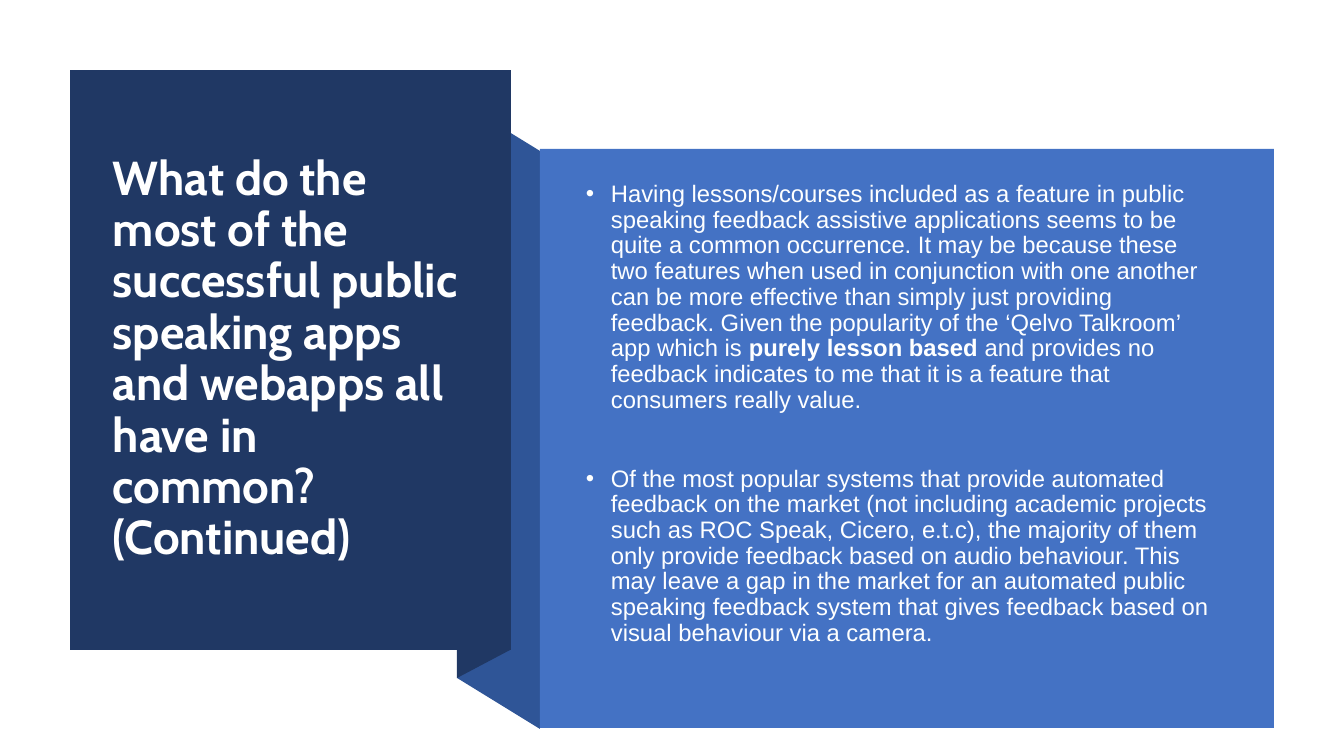
from lxml.etree import SubElement
from pptx import Presentation
from pptx.dml.color import RGBColor
from pptx.enum.shapes import MSO_SHAPE
from pptx.enum.text import MSO_ANCHOR
from pptx.oxml.ns import qn
from pptx.util import Emu, Pt

SCALE = 914400 / 100.8
NAVY, FOLD_BLUE, BLUE, WHITE, OFF_WHITE = "203864", "2F5597", "4472C4", "FFFFFF", "FEFFFF"

TITLE = ("What do the most of the successful public speaking apps and webapps "
         "all have in common? (Continued)")
POINTS = [
    [("Having lessons/courses included as a feature in public speaking feedback "
      "assistive applications seems to be quite a common occurrence. It may be because "
      "these two features when used in conjunction with one another can be more effective "
      "than simply just providing feedback. Given the popularity of the ‘Qelvo Talkroom’ "
      "app which is ", False),
     ("purely lesson based", True),
     (" and provides no feedback indicates to me that it is a feature that consumers "
      "really value.", False)],
    [("Of the most popular systems that provide automated feedback on the market (not "
      "including academic projects such as ROC Speak, Cicero, e.t.c), the majority of them "
      "only provide feedback based on audio behaviour. This may leave a gap in the market "
      "for an automated public speaking feedback system that gives feedback based on visual "
      "behaviour via a camera.", False)],
]


def px(length):
    return Emu(round(length * SCALE))


def color(value):
    return RGBColor.from_string(value)


def paint(shape, fill):
    shape.shadow.inherit = False
    shape.fill.solid()
    shape.fill.fore_color.rgb = color(fill)
    shape.line.fill.background()


def add_polygon(page, points, fill):
    builder = page.shapes.build_freeform(*points[0], scale=SCALE)
    builder.add_line_segments(points[1:], close=True)
    paint(builder.convert_to_shape(), fill)


def add_frame(page, box, anchor):
    frame = page.shapes.add_textbox(*map(px, box)).text_frame
    frame.word_wrap = True
    frame.vertical_anchor = anchor
    return frame


def add_span(para, text, formats):
    span = para.add_run()
    span.text = text
    for name, value in formats.items():
        if name == "color":
            span.font.color.rgb = color(value)
        else:
            setattr(span.font, name, value)


def add_bullet(para, indent):
    properties = para._p.get_or_add_pPr()
    properties.set("marL", str(px(indent)))
    properties.set("indent", str(-px(indent)))
    SubElement(properties, qn("a:buFont"), typeface="Arial")
    SubElement(properties, qn("a:buChar"), char="•")


def add_ribbon(page, left, top, right, bottom):
    panel_right, panel_bottom = right - 30, bottom - 79
    add_polygon(page, [(right, bottom), (left, bottom - 51),
                       (left, top + 30), (right, top + 81)], FOLD_BLUE)
    add_polygon(page, [(panel_right, panel_bottom), (left, panel_bottom + 28),
                       (left, top + 29), (panel_right, top)], NAVY)


def add_title_panel(page, left, top, width, height):
    right, bottom = left + width, top + height
    add_polygon(page, [(left, top), (right, top), (right, bottom), (left, bottom)], NAVY)
    frame = add_frame(page, (left + 33, top + 38, width - 67, height - 77), MSO_ANCHOR.MIDDLE)
    para = frame.paragraphs[0]
    para.line_spacing = 0.9
    add_span(para, TITLE, {"name": "Cabin", "size": Pt(34), "bold": True, "color": WHITE})


def add_points_panel(page, left, top, width, height):
    panel = page.shapes.add_shape(MSO_SHAPE.RECTANGLE, *map(px, (left, top, width, height)))
    paint(panel, BLUE)
    frame = add_frame(page, (left + 36, top + 28, width - 78, height - 72), MSO_ANCHOR.TOP)
    for index, spans in enumerate(POINTS):
        para = frame.add_paragraph() if index else frame.paragraphs[0]
        para.line_spacing = 0.9
        para.space_before = Pt(38 if index else 0)
        add_bullet(para, 25)
        for text, bold in spans:
            add_span(para, text, {"name": "Arial", "size": Pt(17), "bold": bold,
                                  "color": OFF_WHITE})


def main():
    deck = Presentation()
    deck.slide_width, deck.slide_height = px(1344), px(756)
    page = deck.slides.add_slide(deck.slide_layouts[6])
    add_ribbon(page, 457, 70, 540, 729)
    add_title_panel(page, 70, 70, 441, 580)
    add_points_panel(page, 540, 149, 734, 579)
    deck.save("out.pptx")


if __name__ == "__main__":
    main()
